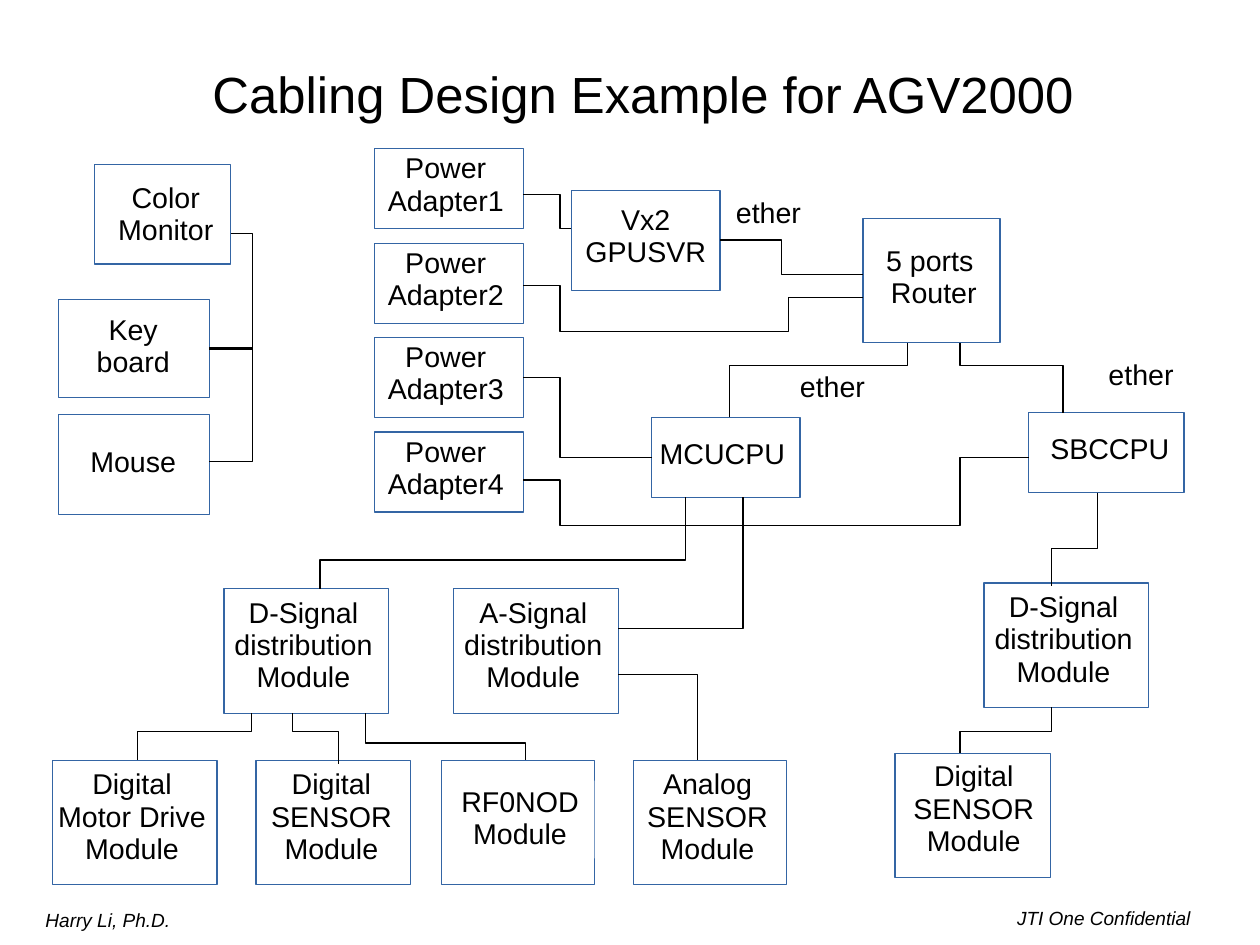
from dataclasses import dataclass
from typing import Optional

from lxml import etree
from pptx import Presentation
from pptx.dml.color import RGBColor
from pptx.enum.shapes import MSO_CONNECTOR, MSO_SHAPE
from pptx.enum.text import MSO_ANCHOR, PP_ALIGN
from pptx.oxml.ns import qn
from pptx.util import Cm, Emu, Pt

PX = 9144
RECT = MSO_SHAPE.RECTANGLE
STRAIGHT = MSO_CONNECTOR.STRAIGHT
TOP, MIDDLE = MSO_ANCHOR.TOP, MSO_ANCHOR.MIDDLE
LEFT, CENTER = PP_ALIGN.LEFT, PP_ALIGN.CENTER
RIGHT_SIDE = 3
BLACK, WHITE, BLUE = "000000", "FFFFFF", "3465A4"

Rect = tuple[int, int, int, int]
Point = tuple[int, int]


@dataclass
class Label:
    text: str
    at: Rect
    size: int = 18
    align: PP_ALIGN = CENTER
    anchor: MSO_ANCHOR = TOP
    italic: bool = False
    margins: Rect = (10, 5, 10, 5)
    fill: Optional[str] = None


@dataclass
class Node:
    box: Rect
    label: Label


ADAPTERS = [
    Node((328, y, 130, 70), Label(f"Power\nAdapter{i + 1}", (310, y - 1, 160, 68)))
    for i, y in enumerate(round(130 + i * 248 / 3) for i in range(4))
]
DISTRIBUTORS = [
    Node((x, y, 144, 109), Label(f"{kind}-Signal distribution Module", (x - 5, y + 3, 149, 96)))
    for kind, x, y in (("D", 196, 515), ("A", 397, 515), ("D", 861, 510))
]
KEYBOARD = Node((51, 262, 132, 86), Label("Key\nboard", (66, 270, 101, 68)))
NODES = [
    Node((500, 167, 130, 87), Label("Vx2 GPUSVR", (500, 174, 130, 68))),
    Node((755, 191, 120, 109), Label("5 ports \nRouter", (754, 210, 126, 68))),
    Node((570, 365, 130, 70), Label("MCUCPU", (552, 379, 160, 40))),
    Node((900, 361, 136, 70), Label("SBCCPU", (891, 375, 160, 40))),
    Node((83, 144, 119, 87), Label("Color Monitor", (89, 155, 112, 68))),
    KEYBOARD,
    Node((51, 363, 132, 87), Label("Mouse", (66, 386, 101, 54))),
    Node((46, 665, 144, 109), Label("Digital\nMotor Drive\nModule", (41, 668, 149, 96))),
    Node((224, 665, 135, 109), Label("Digital SENSOR\nModule", (210, 668, 160, 96))),
    Node((386, 665, 134, 109), Label("RF0NOD\nModule", (390, 683, 130, 68), fill=WHITE)),
    Node((554, 665, 134, 109), Label("Analog\nSENSOR\nModule", (550, 668, 138, 96))),
    Node((783, 659, 136, 109), Label("Digital SENSOR\nModule", (785, 661, 134, 96))),
    *ADAPTERS,
    *DISTRIBUTORS,
]
LABELS = [
    Label("Cabling Design Example for AGV2000", (67, 13, 992, 138), 32,
          anchor=MIDDLE, margins=(0, 4, 0, 0)),
    Label("Harry Li, Ph.D.", (30, 790, 270, 29), 12, LEFT, italic=True, margins=(10, 6, 10, 5)),
    Label("JTI One Confidential", (880, 790, 210, 30), 12, LEFT, italic=True),
    *(Label("ether", (x, y, 90, 40), align=LEFT) for x, y in ((960, 310), (690, 320), (634, 168))),
]
WIRES: list[list[Point]] = [
    [(630, 210), (684, 210), (684, 240), (755, 240)],
    [(638, 365), (638, 320), (794, 320), (794, 300)],
    [(840, 300), (840, 320), (930, 320), (930, 361)],
    [(202, 204), (221, 204), (221, 404), (183, 404)],
    [(458, 170), (490, 170), (490, 200), (500, 200)],
    [(458, 250), (490, 250), (490, 290), (690, 290), (690, 260), (755, 260)],
    [(458, 330), (490, 330), (490, 400), (570, 400)],
    [(458, 420), (490, 420), (490, 460), (840, 460), (840, 400), (900, 400)],
    [(600, 435), (600, 490), (280, 490), (280, 515)],
    [(650, 435), (650, 550), (541, 550)],
    [(220, 624), (220, 640), (120, 640), (120, 665)],
    [(256, 624), (256, 640), (296, 640), (296, 668)],
    [(320, 624), (320, 650), (460, 650), (460, 665)],
    [(541, 590), (610, 590), (610, 665)],
    [(960, 431), (960, 480), (920, 480), (920, 513)],
    [(920, 619), (920, 640), (840, 640), (840, 659)],
]


def px(n: int) -> Emu:
    return Emu(n * PX)


def rgb(value: str) -> RGBColor:
    return RGBColor.from_string(value)


def apply(target, values: dict) -> None:
    for name, value in values.items():
        setattr(target, name, value)


def paint(target, color: str) -> None:
    target.solid()
    target.fore_color.rgb = rgb(color)


def hairline(line, color: str) -> None:
    line.color.rgb = rgb(color)
    line.width = Emu(0)


def draw_box(s, box: Rect):
    sp = s.shapes.add_shape(RECT, *map(px, box))
    sp.shadow.inherit = False
    paint(sp.fill, WHITE)
    hairline(sp.line, BLUE)
    return sp


def draw_label(s, label: Label) -> None:
    sp = s.shapes.add_textbox(*map(px, label.at))
    if label.fill:
        paint(sp.fill, label.fill)
    tf = sp.text_frame
    sides = ("margin_left", "margin_top", "margin_right", "margin_bottom")
    apply(tf, {"word_wrap": True, "vertical_anchor": label.anchor,
               **dict(zip(sides, map(px, label.margins)))})
    tf.text = label.text
    for p in tf.paragraphs:
        apply(p, {"alignment": label.align, "line_spacing": 0.94})
        for r in p.runs:
            apply(r.font, {"name": "Arial", "size": Pt(label.size), "italic": label.italic})
            r.font.color.rgb = rgb(BLACK)


def draw_wire(s, points: list[Point]) -> None:
    builder = s.shapes.build_freeform(*points[0], scale=PX)
    builder.add_line_segments(points[1:], close=False)
    sp = builder.convert_to_shape()
    sp.shadow.inherit = False
    sp.fill.background()
    hairline(sp.line, BLACK)


def draw_branch(s, start: Point, target) -> None:
    x, y = map(px, start)
    line = s.shapes.add_connector(STRAIGHT, x, y, x, y)
    line.end_connect(target, RIGHT_SIDE)
    hairline(line.line, BLACK)
    etree.SubElement(line._element.spPr, qn("a:effectLst"))


def main() -> None:
    prs = Presentation()
    apply(prs, {"slide_width": Cm(28), "slide_height": Cm(21)})
    s = prs.slides.add_slide(prs.slide_layouts[6])
    boxes = [draw_box(s, node.box) for node in NODES]
    for label in [*(node.label for node in NODES), *LABELS]:
        draw_label(s, label)
    for points in WIRES:
        draw_wire(s, points)
    draw_branch(s, (221, 305), boxes[NODES.index(KEYBOARD)])
    prs.save("out.pptx")


if __name__ == "__main__":
    main()
